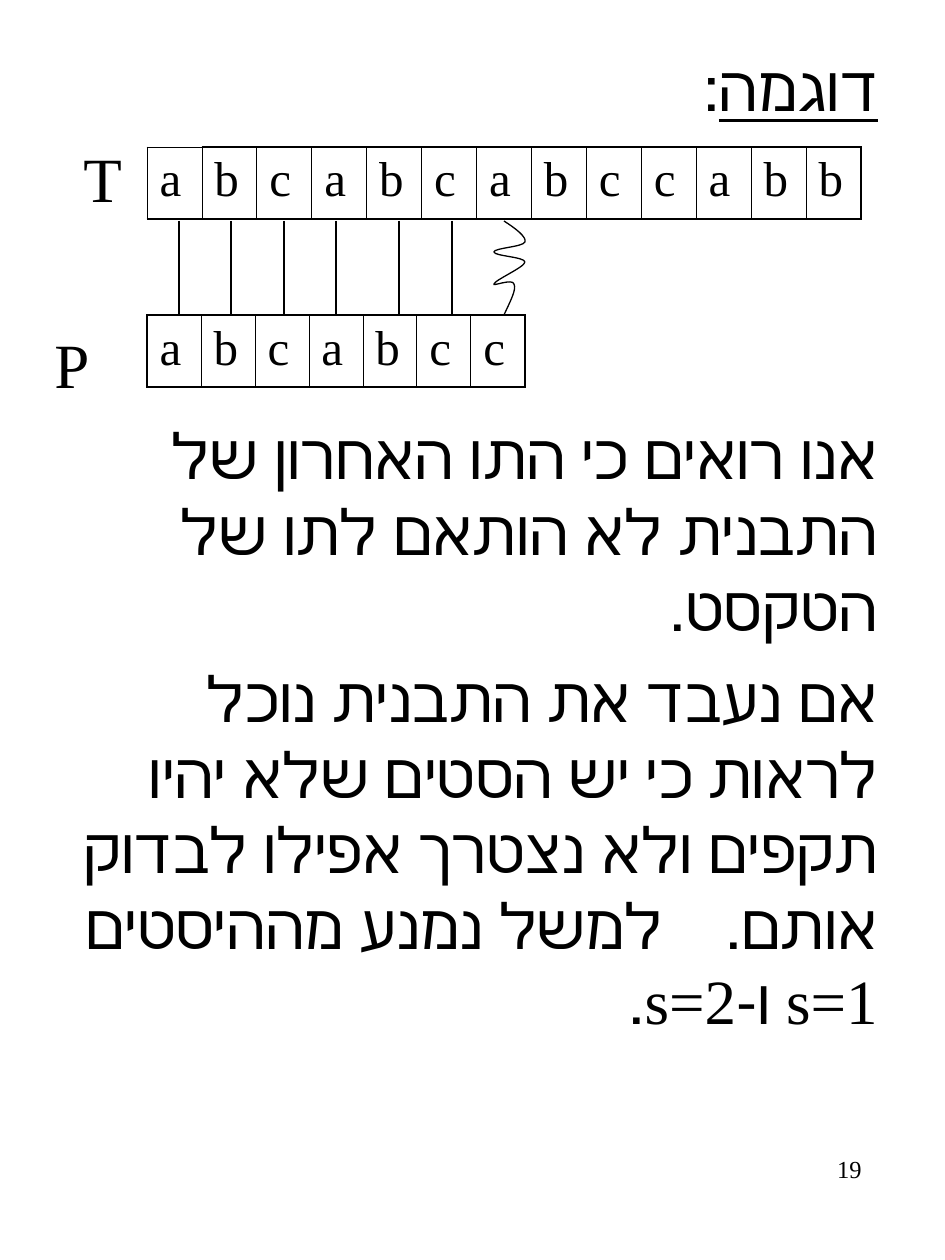
from itertools import pairwise

from lxml.etree import SubElement
from pptx import Presentation
from pptx.dml.color import RGBColor
from pptx.enum.shapes import MSO_CONNECTOR
from pptx.enum.text import PP_ALIGN
from pptx.oxml.ns import qn
from pptx.util import Pt

EMU_PER_PX = 914400 / 126
BLACK = RGBColor(0x00, 0x00, 0x00)
WHITE = RGBColor(0xFF, 0xFF, 0xFF)
FONT = "Times New Roman"
THIN, THICK = Pt(0.45), Pt(1.08)

TEXT_STRING = "abcabcabccabb"
PATTERN = "abcabcc"
MATCH_OFFSETS = (32, 84, 137, 189, 252, 305)
SQUIGGLE = (
    (357, 0),
    (368, 7), (380, 16), (378, 21),
    (376, 26), (347, 27), (347, 31),
    (347, 35), (378, 36), (378, 41),
    (378, 46), (348, 59), (347, 63),
    (344, 66), (366, 57), (367, 63),
    (370, 68), (363, 81), (357, 94),
)


def px(length):
    """Turn a length in px into EMU."""
    return round(length * EMU_PER_PX)


def add_run(paragraph, text, size, underline=None):
    """Append one black run to a paragraph."""
    run = paragraph.add_run()
    run.text = text
    run.font.name = FONT
    run.font.size = Pt(size)
    run.font.color.rgb = BLACK
    run.font.underline = underline
    return run


def add_frame(slide, box):
    """Add a wrapping text box and return its text frame."""
    frame = slide.shapes.add_textbox(*map(px, box)).text_frame
    frame.word_wrap = True
    return frame


def set_right_to_left(paragraph):
    """Make a paragraph read from right to left."""
    paragraph.alignment = PP_ALIGN.RIGHT
    paragraph._p.get_or_add_pPr().set("rtl", "1")


def add_explanation(slide, box):
    """Add the heading, the two row labels and the Hebrew explanation."""
    frame = add_frame(slide, box)
    heading = frame.paragraphs[0]
    label_t, label_p, mismatch, shifts = (frame.add_paragraph() for _ in range(4))
    for paragraph in frame.paragraphs:
        paragraph.space_before = Pt(9)
    for paragraph in (heading, mismatch, shifts):
        set_right_to_left(paragraph)

    add_run(heading, "דוגמה", 36, underline=True)
    add_run(heading, ":", 36)
    add_run(label_t, "T", 36)
    label_t._p.get_or_add_pPr().set("marL", str(px(29)))
    add_run(label_p, "P", 36)
    label_p.space_before = Pt(63)
    add_run(mismatch, "אנו רואים כי התו האחרון של התבנית לא הותאם לתו של הטקסט.", 36)
    add_run(
        shifts,
        "אם נעבד את התבנית נוכל לראות כי יש הסטים שלא יהיו תקפים"
        " ולא נצטרך אפילו לבדוק אותם.",
        36,
    )
    gap = add_run(shifts, " ", 36)
    gap.font._element.set("spc", "2700")
    add_run(shifts, "למשל נמנע מההיסטים s=1 ו-s=2.", 36)


def set_borders(cell, **widths):
    """Draw the cell borders, given as L, R, T and B widths."""
    properties = cell._tc.get_or_add_tcPr()
    for side, width in widths.items():
        line = SubElement(properties, qn(f"a:ln{side}"), w=str(width))
        fill = SubElement(line, qn("a:solidFill"))
        SubElement(fill, qn("a:srgbClr"), val=str(BLACK))


def add_letter_row(slide, box, letters, thin_corner=False):
    """Add a one-row table with a letter in each cell."""
    left, top, width, height = box
    count = len(letters)
    table = slide.shapes.add_table(1, count, *map(px, box)).table
    table.first_row = False
    table.horz_banding = False
    table.rows[0].height = px(height)
    edges = [px(width * index / count) for index in range(count + 1)]
    for index, (start, end) in enumerate(pairwise(edges)):
        table.columns[index].width = end - start
        cell = table.cell(0, index)
        first = index == 0
        corner = first and thin_corner
        set_borders(
            cell,
            L=THICK if first and not corner else THIN,
            R=THICK if index == count - 1 else THIN,
            T=THIN if corner else THICK,
            B=THICK,
        )
        cell.fill.background()
        paragraph = cell.text_frame.paragraphs[0]
        paragraph.space_before = Pt(7)
        add_run(paragraph, letters[index], 28)


def style_line(shape):
    """Give a line its colour and width."""
    shape.line.color.rgb = BLACK
    shape.line.width = Pt(0.75)


def add_matches(slide, box):
    """Join matching letters with lines and mark the mismatch with a squiggle."""
    left, top, width, height = box
    for offset in MATCH_OFFSETS:
        x = px(left + offset)
        line = slide.shapes.add_connector(
            MSO_CONNECTOR.STRAIGHT, x, px(top), x, px(top + height)
        )
        style_line(line)
        SubElement(line._element.spPr, qn("a:effectLst"))

    builder = slide.shapes.build_freeform(*SQUIGGLE[0], scale=EMU_PER_PX)
    builder.add_line_segments(SQUIGGLE[1:], close=False)
    squiggle = builder.convert_to_shape(px(left), px(top))
    squiggle.fill.background()
    squiggle.shadow.inherit = False
    style_line(squiggle)
    segments = list(squiggle._element.iter(qn("a:lnTo")))
    for index in range(0, len(segments), 3):
        curve = SubElement(segments[index].getparent(), qn("a:cubicBezTo"))
        for segment in segments[index:index + 3]:
            curve.append(segment[0])
            segment.getparent().remove(segment)


def add_page_number(slide, box):
    """Add the page number at the right of its box."""
    paragraph = add_frame(slide, box).paragraphs[0]
    paragraph.alignment = PP_ALIGN.RIGHT
    add_run(paragraph, "19", 14)


def main():
    """Build the string matching slide."""
    presentation = Presentation()
    presentation.slide_width = px(945)
    presentation.slide_height = px(1260)
    slide = presentation.slides.add_slide(presentation.slide_layouts[6])
    slide.background.fill.solid()
    slide.background.fill.fore_color.rgb = WHITE
    add_explanation(slide, (42, 42, 848, 1176))
    add_letter_row(slide, (147, 147, 714, 72), TEXT_STRING, thin_corner=True)
    add_letter_row(slide, (147, 315, 378, 72), PATTERN)
    add_matches(slide, (147, 221, 378, 94))
    add_page_number(slide, (678, 1148, 196, 84))
    presentation.save("out.pptx")


if __name__ == "__main__":
    main()
